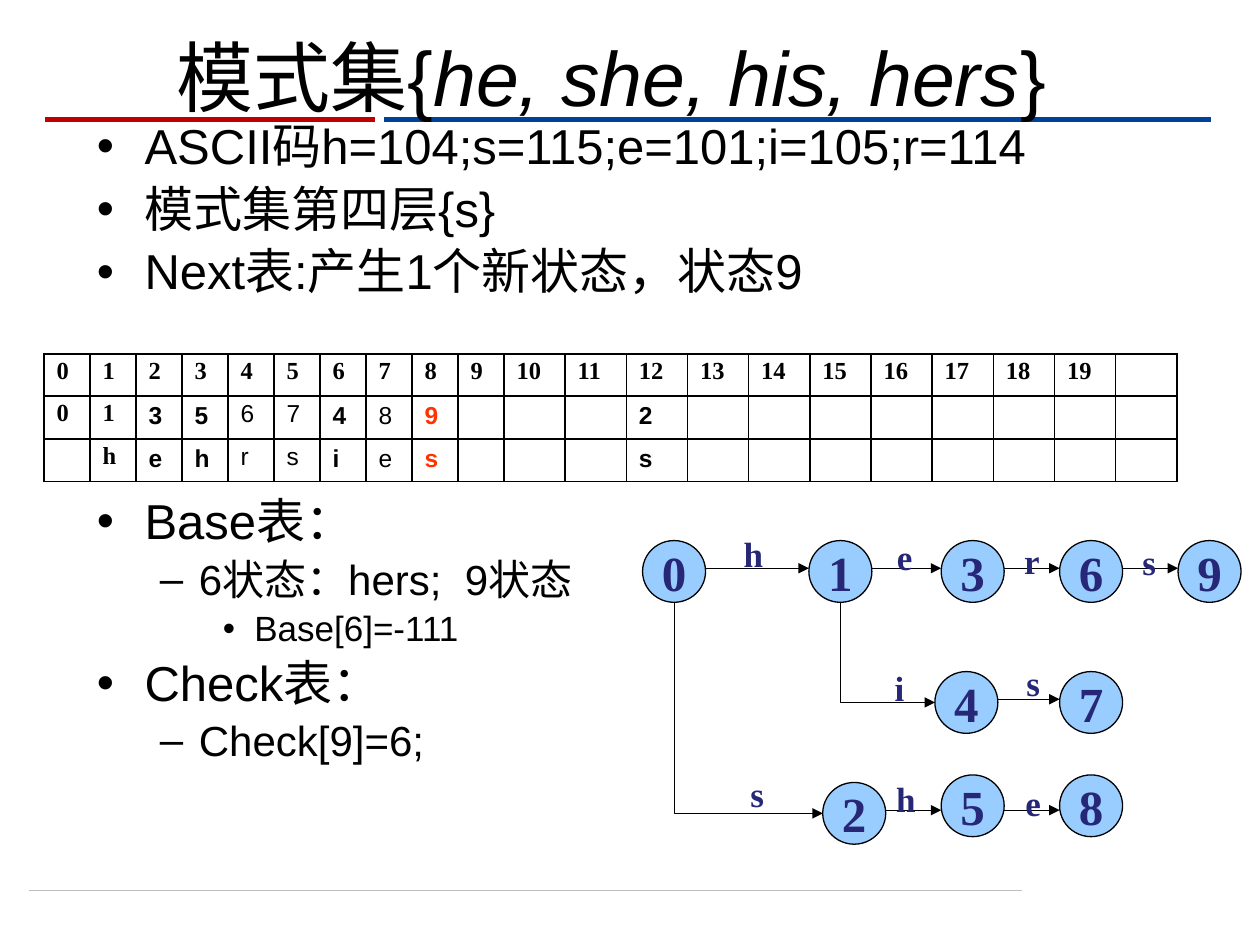
import pptx
import pptx.dml.color
import pptx.enum.shapes
import pptx.enum.text
import pptx.oxml
import pptx.oxml.ns
import pptx.util
from lxml import etree

Inches, Pt = pptx.util.Inches, pptx.util.Pt
RGBColor = pptx.dml.color.RGBColor
qn = pptx.oxml.ns.qn
SHAPE = pptx.enum.shapes.MSO_SHAPE
CONNECTOR = pptx.enum.shapes.MSO_CONNECTOR
ANCHOR = pptx.enum.text.MSO_ANCHOR
ALIGN = pptx.enum.text.PP_ALIGN

BLACK = RGBColor(0x00, 0x00, 0x00)
GREY = RGBColor(0xBF, 0xBF, 0xBF)
BLUE = RGBColor(0x00, 0x42, 0x99)
RED = RGBColor(0xC0, 0x00, 0x00)
ORANGE = RGBColor(0xFF, 0x33, 0x00)
SKY = RGBColor(0x99, 0xCC, 0xFF)
NAVY = RGBColor(0x27, 0x27, 0x77)
SANS, SERIF = "Arial", "Times New Roman"

NODE_WIDTH, NODE_HEIGHT = 0.5, 0.49
LEVELS = [(28, 0.38, 0.38, "•"), (24, 0.81, 0.31, "–"), (20, 1.25, 0.25, "•")]

TOP_POINTS = [
    (0, "ASCII码h=104;s=115;e=101;i=105;r=114"),
    (0, "模式集第四层{s}"),
    (0, "Next表:产生1个新状态，状态9"),
]
LOWER_POINTS = [
    (0, "Base表："),
    (1, "6状态：hers;  9状态"),
    (2, "Base[6]=-111"),
    (0, "Check表："),
    (1, "Check[9]=6;"),
]

NEXT_TABLE = [
    [str(index) for index in range(20)] + [""],
    list("013567489") + [""] * 3 + ["2"] + [""] * 8,
    [""] + list("hehrsies") + [""] * 3 + ["s"] + [""] * 8,
]
COLUMN_WIDTHS = [3.65 / 10] * 10 + [5.34 / 11] * 11
ROW_HEIGHTS = [0.31, 0.34, 0.34]

NODES = {
    0: (5.1, 4.29), 1: (6.42, 4.29), 3: (7.47, 4.29), 6: (8.41, 4.29), 9: (9.35, 4.29),
    4: (7.42, 5.33), 7: (8.41, 5.33),
    2: (6.53, 6.21), 5: (7.47, 6.15), 8: (8.41, 6.15),
}
STRAIGHT_EDGES = [
    (0, 1, 4.51), (1, 3, 4.51), (3, 6, 4.51), (6, 9, 4.51),
    (4, 7, 5.55), (2, 5, 6.43), (5, 8, 6.43),
]
BENT_EDGES = [(0, 2), (1, 4)]
EDGE_LABELS = [
    ("h", 5.76, 4.18), ("s", 5.79, 6.08), ("e", 6.96, 4.2), ("r", 7.97, 4.23), ("s", 8.9, 4.24),
    ("i", 6.92, 5.24), ("s", 7.98, 5.2), ("h", 6.97, 6.12), ("e", 7.98, 6.15),
]


class Page:
    """Draws the styled elements of one slide."""

    def __init__(self, deck):
        self.slide = deck.slides.add_slide(deck.slide_layouts[6])
        self.shapes = self.slide.shapes

    def style(self, span, size, face=SANS, color=BLACK, bold=False, italic=False):
        span.font.size = Pt(size)
        span.font.name = face
        span.font.color.rgb = color
        span.font.bold = bold
        span.font.italic = italic

    def textbox(self, left, top, width, height):
        box = self.shapes.add_textbox(Inches(left), Inches(top), Inches(width), Inches(height))
        box.text_frame.word_wrap = True
        return box.text_frame

    def title(self, left, top, width, height, pieces):
        frame = self.textbox(left, top, width, height)
        frame.vertical_anchor = ANCHOR.MIDDLE
        para = frame.paragraphs[0]
        para.alignment = ALIGN.CENTER
        for words, italic in pieces:
            span = para.add_run()
            span.text = words
            self.style(span, 44, italic=italic)

    def bullets(self, left, top, width, height, points):
        frame = self.textbox(left, top, width, height)
        frame.text = "\n".join(words for _, words in points)
        for para, (level, _) in zip(frame.paragraphs, points):
            size, margin, hanging, mark = LEVELS[level]
            para.level = level
            para.line_spacing = 0.9
            para.space_before = Pt(size * 0.2)
            properties = para._p.get_or_add_pPr()
            properties.set("marL", str(Inches(margin)))
            properties.set("indent", str(-Inches(hanging)))
            etree.SubElement(properties, qn("a:buFont"), typeface=SANS)
            etree.SubElement(properties, qn("a:buChar"), char=mark)
            self.style(para.runs[0], size)

    def symbol(self, frame, words, size):
        frame.text = words
        para = frame.paragraphs[0]
        para.alignment = ALIGN.CENTER
        para.space_before = Pt(size * 0.2)
        self.style(para.runs[0], size, SERIF, NAVY, bold=True)

    def label(self, words, left, top):
        self.symbol(self.textbox(left, top, 0.44, 0.3), words, 20)

    def node(self, number, left, top):
        oval = self.shapes.add_shape(
            SHAPE.OVAL, Inches(left), Inches(top), Inches(NODE_WIDTH), Inches(NODE_HEIGHT))
        oval.shadow.inherit = False
        oval.fill.solid()
        oval.fill.fore_color.rgb = SKY
        oval.line.color.rgb = BLACK
        oval.line.width = Pt(0.75)
        oval.text_frame.word_wrap = False
        oval.text_frame.vertical_anchor = ANCHOR.MIDDLE
        self.symbol(oval.text_frame, str(number), 28)

    def line(self, start, end, color=BLACK, width=0.75, arrow=False):
        connector = self.shapes.add_connector(
            CONNECTOR.STRAIGHT, *(Inches(value) for value in (*start, *end)))
        connector.line.color.rgb = color
        connector.line.width = Pt(width)
        if arrow:
            etree.SubElement(connector.line._get_or_add_ln(), qn("a:tailEnd"), type="triangle")
        etree.SubElement(connector._element.spPr, qn("a:effectLst"))
        return connector

    def bent_arrow(self, start, end):
        run, drop = end[0] - start[0], end[1] - start[1]
        left = (start[0] + end[0] - drop) / 2
        top = (start[1] + end[1] - run) / 2
        connector = self.line((left, top), (left + drop, top + run), arrow=True)
        properties = connector._element.spPr
        properties.find(qn("a:prstGeom")).set("prst", "bentConnector2")
        frame = properties.find(qn("a:xfrm"))
        frame.set("rot", str(270 * 60000))
        frame.set("flipH", "1")

    def table(self, left, top, rows, widths, heights):
        grid = self.shapes.add_table(
            len(rows), len(widths), Inches(left), Inches(top),
            Inches(sum(widths)), Inches(sum(heights))).table
        grid.first_row = grid.horz_banding = False
        for column, width in zip(grid.columns, widths):
            column.width = Inches(width)
        for row, height in zip(grid.rows, heights):
            row.height = Inches(height)
        for row, values in enumerate(rows):
            for column, words in enumerate(values):
                self.cell(grid.cell(row, column), words, row, column)

    def cell(self, cell, words, row, column):
        cell.fill.background()
        properties = cell._tc.get_or_add_tcPr()
        for position, side in enumerate(("lnL", "lnR", "lnT", "lnB")):
            border = etree.Element(qn("a:" + side), w=str(Pt(1)))
            fill = etree.SubElement(border, qn("a:solidFill"))
            etree.SubElement(fill, qn("a:srgbClr"), val=str(BLACK))
            properties.insert(position, border)
        para = cell.text_frame.paragraphs[0]
        if not words:
            etree.SubElement(para._p, qn("a:endParaRPr"), sz="1400")
            return
        para.text = words
        header = row == 0 or column < 2
        if header or column in (4, 5):
            para.line_spacing = 0.9
        self.style(
            para.runs[0], 14, SERIF if header else SANS,
            ORANGE if row and column == 8 else BLACK,
            bold=header or column not in (4, 5, 7))


def main():
    deck = pptx.Presentation()
    deck.slide_width, deck.slide_height = Inches(10), Inches(7.5)
    page = Page(deck)
    page.line((0.23, 7.07), (8.11, 7.07), GREY, 0.5)
    page.line((3.05, 0.95), (9.61, 0.95), BLUE, 3)
    page.line((0.36, 0.95), (2.98, 0.95), RED, 3)
    page.bullets(0.67, 0.92, 8.67, 1.6, TOP_POINTS)
    page.bullets(0.67, 3.9, 4.4, 2.3, LOWER_POINTS)
    page.title(0.35, 0.21, 9, 0.78, [("模式集{", False), ("he, she, his, hers", True), ("}", False)])
    page.table(0.35, 2.81, NEXT_TABLE, COLUMN_WIDTHS, ROW_HEIGHTS)
    for number, (left, top) in NODES.items():
        page.node(number, left, top)
    for source, target, height in STRAIGHT_EDGES:
        page.line((NODES[source][0] + NODE_WIDTH, height), (NODES[target][0], height), arrow=True)
    for source, target in BENT_EDGES:
        (left, top), (right, bottom) = NODES[source], NODES[target]
        page.bent_arrow((left + NODE_WIDTH / 2, top + NODE_HEIGHT), (right, bottom + NODE_HEIGHT / 2))
    for words, left, top in EDGE_LABELS:
        page.label(words, left, top)
    deck.save("out.pptx")


if __name__ == "__main__":
    main()
